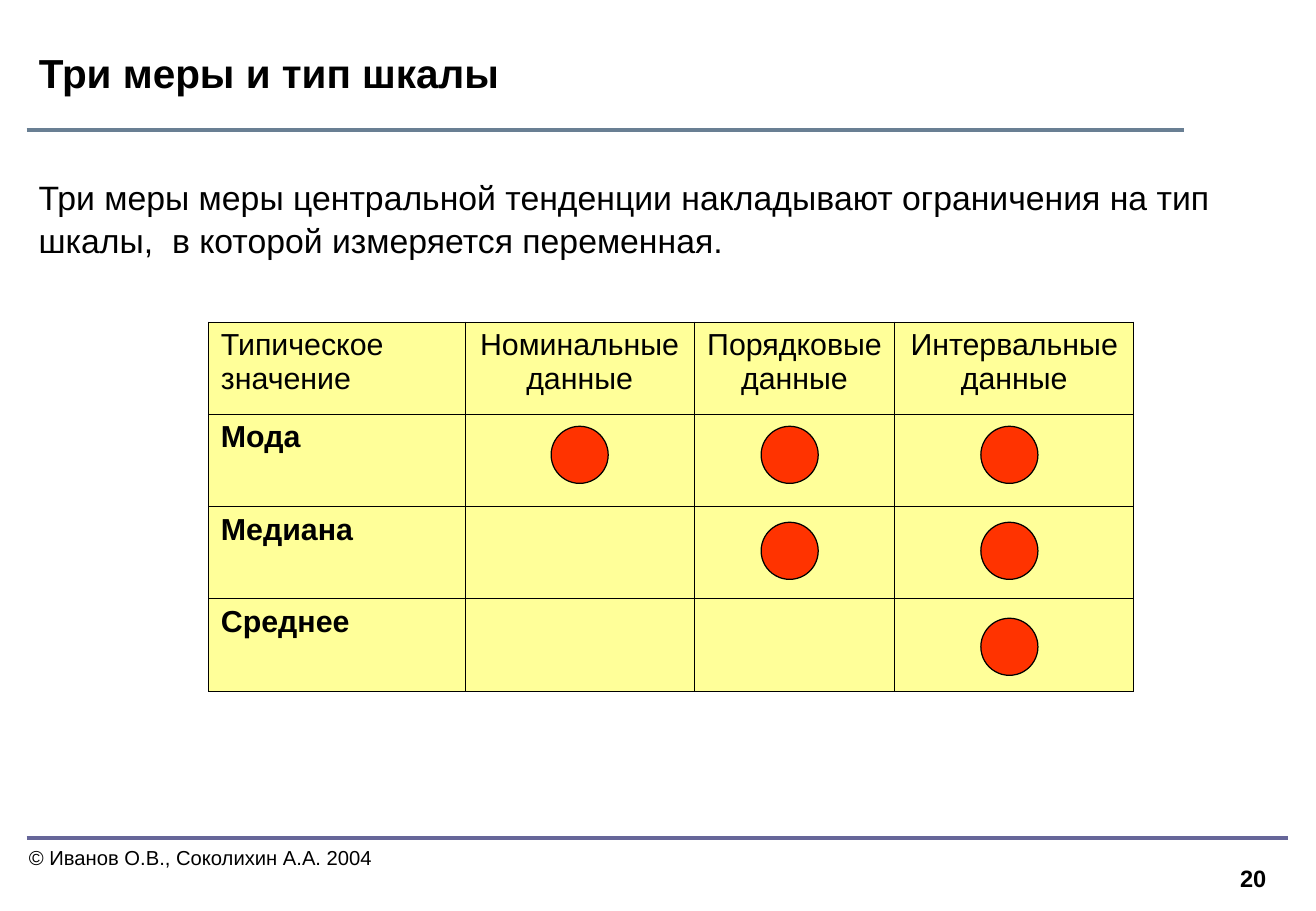
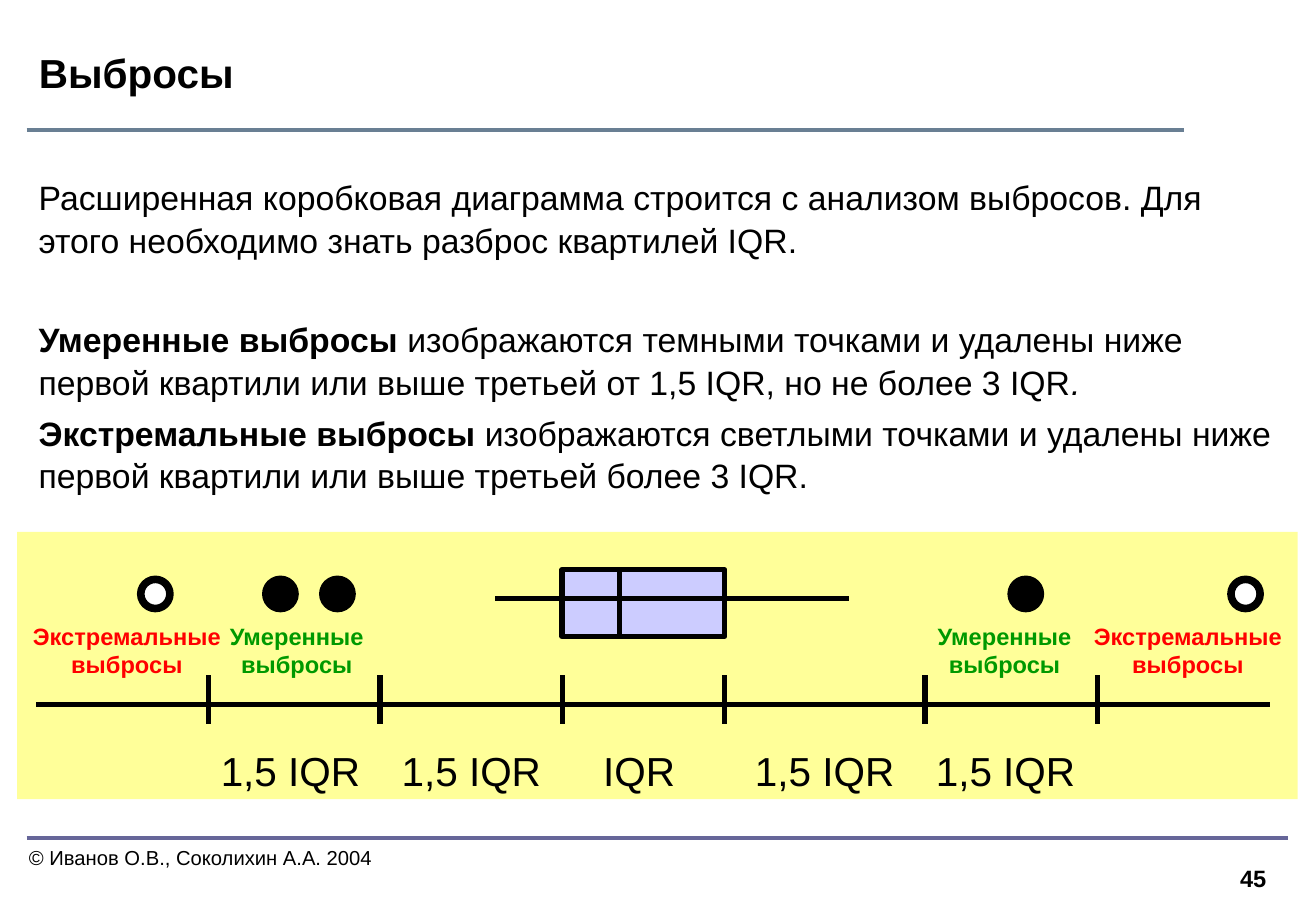
"""Build two statistics slides: scale types and outliers."""
from dataclasses import dataclass, field
from typing import NamedTuple

from lxml.etree import SubElement
from pptx import Presentation
from pptx.dml.color import RGBColor
from pptx.enum.shapes import MSO_CONNECTOR, MSO_SHAPE as SHAPE
from pptx.enum.text import MSO_ANCHOR, MSO_AUTO_SIZE, PP_ALIGN as AL
from pptx.oxml.ns import qn
from pptx.util import Emu, Inches, Pt

CELL = Inches(0.1)
COLS, ROWS = 108.4, 75
BLACK = RGBColor(0x00, 0x00, 0x00)
WHITE = RGBColor(0xFF, 0xFF, 0xFF)
YELLOW = RGBColor(0xFF, 0xFF, 0x99)
LILAC = RGBColor(0xCC, 0xCC, 0xFF)
SCARLET = RGBColor(0xFF, 0x33, 0x00)
RED = RGBColor(0xFF, 0x00, 0x00)
GREEN = RGBColor(0x00, 0x99, 0x00)
PURPLE = RGBColor(0x66, 0x66, 0x99)
SLATE = RGBColor(0x69, 0x7F, 0x93)
COPYRIGHT = "© Иванов О.В., Соколихин А.А. 2004"


def grid(n: float) -> Emu:
    """Convert grid cells to a length."""
    return Emu(round(n * CELL))


class Box(NamedTuple):
    col: float
    row: float
    cols: float
    rows: float

    def place(self) -> list[Emu]:
        """Give left, top, width and height."""
        return [grid(n) for n in self]


class Line(NamedTuple):
    x1: float
    y1: float
    x2: float
    y2: float
    color: RGBColor = BLACK
    width: float = 3


@dataclass(frozen=True)
class Piece:
    text: str
    fmt: dict = field(default_factory=dict)


@dataclass(frozen=True)
class Para:
    pieces: list[Piece]
    layout: dict = field(default_factory=dict)


@dataclass(frozen=True)
class Figure:
    kind: SHAPE
    box: Box
    fill: RGBColor
    width: float = 0


@dataclass(frozen=True)
class Label:
    lines: list[str]
    box: Box
    size: float
    color: RGBColor = BLACK
    bold: bool = False
    align: AL = AL.LEFT
    wrap: bool = False


def set_font(r, size: float, color: RGBColor = BLACK, **fmt) -> None:
    """Format a run."""
    r.font.color.rgb = color
    for name, value in {"name": "Arial", "size": Pt(size), **fmt}.items():
        setattr(r.font, name, value)


def write(tf, paras: list[Para], size: float, color: RGBColor = BLACK) -> None:
    """Fill a text frame with formatted paragraphs."""
    for i, para in enumerate(paras):
        p = tf.add_paragraph() if i else tf.paragraphs[0]
        for name, value in para.layout.items():
            setattr(p, name, value)
        for piece in para.pieces:
            r = p.add_run()
            r.text = piece.text
            set_font(r, size, color, **piece.fmt)


def add_label(s, label: Label) -> None:
    """Draw a text box with one style throughout."""
    tf = s.shapes.add_textbox(*label.box.place()).text_frame
    tf.word_wrap = label.wrap
    write(tf, [Para([Piece(t, {"bold": label.bold})], {"alignment": label.align})
               for t in label.lines], label.size, label.color)


def add_line(s, line: Line) -> None:
    """Draw a straight line."""
    ends = [grid(n) for n in line[:4]]
    cx = s.shapes.add_connector(MSO_CONNECTOR.STRAIGHT, *ends)
    cx.line.color.rgb, cx.line.width = line.color, Pt(line.width)
    SubElement(cx._element.spPr, qn("a:effectLst"))


def add_figure(s, figure: Figure) -> None:
    """Draw a filled shape with an optional black outline."""
    sp = s.shapes.add_shape(figure.kind, *figure.box.place())
    sp.shadow.inherit = False
    sp.fill.solid()
    sp.fill.fore_color.rgb = figure.fill
    if figure.width:
        sp.line.color.rgb, sp.line.width = BLACK, Pt(figure.width)
    else:
        sp.line.fill.background()


def add_body(s, rows: float, paras: list[Para]) -> None:
    """Draw the main text."""
    tf = s.shapes.add_textbox(*Box(2.2, 13.9, 104, rows).place()).text_frame
    tf.word_wrap = True
    write(tf, paras, 20)


def new_slide(prs, title: str, number: int):
    """Add a slide with its title, rules and footer."""
    s = prs.slides.add_slide(prs.slide_layouts[5])
    sp = s.shapes.title
    names = ("left", "top", "width", "height")
    for name, value in zip(names, Box(2.2, 2.1, 92.1, 7.7).place()):
        setattr(sp, name, value)
    tf = sp.text_frame
    tf.auto_size, tf.vertical_anchor = MSO_AUTO_SIZE.NONE, MSO_ANCHOR.MIDDLE
    write(tf, [Para([Piece(title, {"bold": True})], {"alignment": AL.LEFT})], 24)
    add_line(s, Line(2.2, 69, 106.1, 69, PURPLE, 2.75))
    add_line(s, Line(2.2, 10.7, 97.5, 10.7, SLATE, 2.75))
    add_label(s, Label([COPYRIGHT], Box(1.4, 69.1, 30.9, 3), 12, wrap=True))
    add_label(s, Label([str(number)], Box(99, 70.6, 6.3, 3.4), 14,
                       bold=True, align=AL.RIGHT, wrap=True))
    return s


def style_cell(cell) -> None:
    """Give a table cell its borders and fill."""
    tc_pr = cell._tc.get_or_add_tcPr()
    for side in ("lnL", "lnR", "lnT", "lnB"):
        ln = SubElement(tc_pr, qn(f"a:{side}"), w=str(Pt(0.45)))
        fill = SubElement(ln, qn("a:solidFill"))
        SubElement(fill, qn("a:srgbClr"), val=str(BLACK))
    cell.fill.solid()
    cell.fill.fore_color.rgb = YELLOW


def add_scale_table(s) -> None:
    """Draw the table of measures by scale type."""
    heads = ["Типическое значение", "Номинальные данные",
             "Порядковые данные", "Интервальные данные"]
    measures = ["Мода", "Медиана", "Среднее"]
    rows = [heads] + [[m, "", "", ""] for m in measures]
    widths = (21.1, 18.9, 16.5, 19.7)
    box = Box(17.2, 26.5, sum(widths), 7.6 * len(rows))
    table = s.shapes.add_table(len(rows), len(heads), *box.place()).table
    table.first_row = table.horz_banding = False
    for column, width in zip(table.columns, widths):
        column.width = grid(width)
    for i, row in enumerate(rows):
        for j, text in enumerate(row):
            cell = table.cell(i, j)
            style_cell(cell)
            if text:
                layout = {"alignment": AL.CENTER if j else AL.LEFT}
                write(cell.text_frame, [Para([Piece(text, {"bold": i > 0})], layout)], 18)
    for i in range(len(measures)):
        for col in (45.4, 62.7, 80.8)[i:]:
            dot = Box(col, 35.1 + 7.9 * i, 4.7, 4.7)
            add_figure(s, Figure(SHAPE.OVAL, dot, SCARLET, 0.75))


def scale_slide(prs) -> None:
    """Build the slide on measures and scale types."""
    s = new_slide(prs, "Три меры и тип шкалы", 20)
    text = ("Три меры меры центральной тенденции накладывают ограничения "
            "на тип шкалы,  в которой измеряется переменная.")
    add_body(s, 15.7, [Para([Piece(text)], {"line_spacing": 1.05})])
    add_scale_table(s)


def add_box_plot(s) -> None:
    """Draw the box plot, its axis and its outliers."""
    add_figure(s, Figure(SHAPE.RECTANGLE, Box(46.3, 46.9, 13.4, 5.5), LILAC, 3))
    ticks = (17.2, 31.3, 46.3, 59.7, 76.2, 90.4)
    for line in [Line(40.8, 49.3, 69.9, 49.3), Line(51, 46.9, 51, 52.4),
                 Line(3, 58, 104.6, 58)] + [Line(x, 55.6, x, 59.6) for x in ticks]:
        add_line(s, line)
    for col, text in zip((17.2, 32.1, 48.7, 61.2, 76.1),
                         ("1,5 IQR", "1,5 IQR", "IQR", "1,5 IQR", "1,5 IQR")):
        width = 7.9 if text == "IQR" else 13.5
        add_label(s, Label([text], Box(col, 60.9, width, 5), 24))
    for word, color, width, starts in (("Экстремальные", RED, 18.1, (1.4, 88.8)),
                                       ("Умеренные", GREEN, 13.1, (17.9, 76.2))):
        for col in starts:
            add_label(s, Label([word, "выбросы"], Box(col, 50.7, width, 5.7),
                               14, color, True, AL.CENTER))
    for fill, starts in ((WHITE, (11.6, 101.4)), (BLACK, (21.9, 26.6, 83.3))):
        for col in starts:
            add_figure(s, Figure(SHAPE.OVAL, Box(col, 47.7, 2.4, 2.4), fill, 4.5))


def outlier_slide(prs) -> None:
    """Build the slide on outliers."""
    s = new_slide(prs, "Выбросы", 45)
    add_figure(s, Figure(SHAPE.RECTANGLE, Box(1.4, 43.8, 105.5, 22), YELLOW))
    bold, italic = {"bold": True}, {"italic": True}
    spacing = {"line_spacing": 1.05}
    add_body(s, 52, [
        Para([Piece("Расширенная коробковая диаграмма строится с анализом выбросов. "
                    "Для этого необходимо знать разброс квартилей IQR.")], spacing),
        Para([Piece("Умеренные выбросы ", bold),
              Piece("изображаются темными точками и удалены ниже первой квартили "
                    "или выше третьей от 1,5 IQR, но не более 3 IQR"),
              Piece(".", italic)], {**spacing, "space_before": Pt(34)}),
        Para([Piece("Экстремальные выбросы ", bold),
              Piece("изображаются светлыми точками и удалены ниже первой квартили "
                    "или выше третьей более 3 IQR.")],
             {**spacing, "space_before": Pt(5)}),
    ])
    add_box_plot(s)


def main() -> None:
    """Build and save the presentation."""
    prs = Presentation()
    prs.slide_width, prs.slide_height = grid(COLS), grid(ROWS)
    scale_slide(prs)
    outlier_slide(prs)
    prs.save("out.pptx")


if __name__ == "__main__":
    main()
